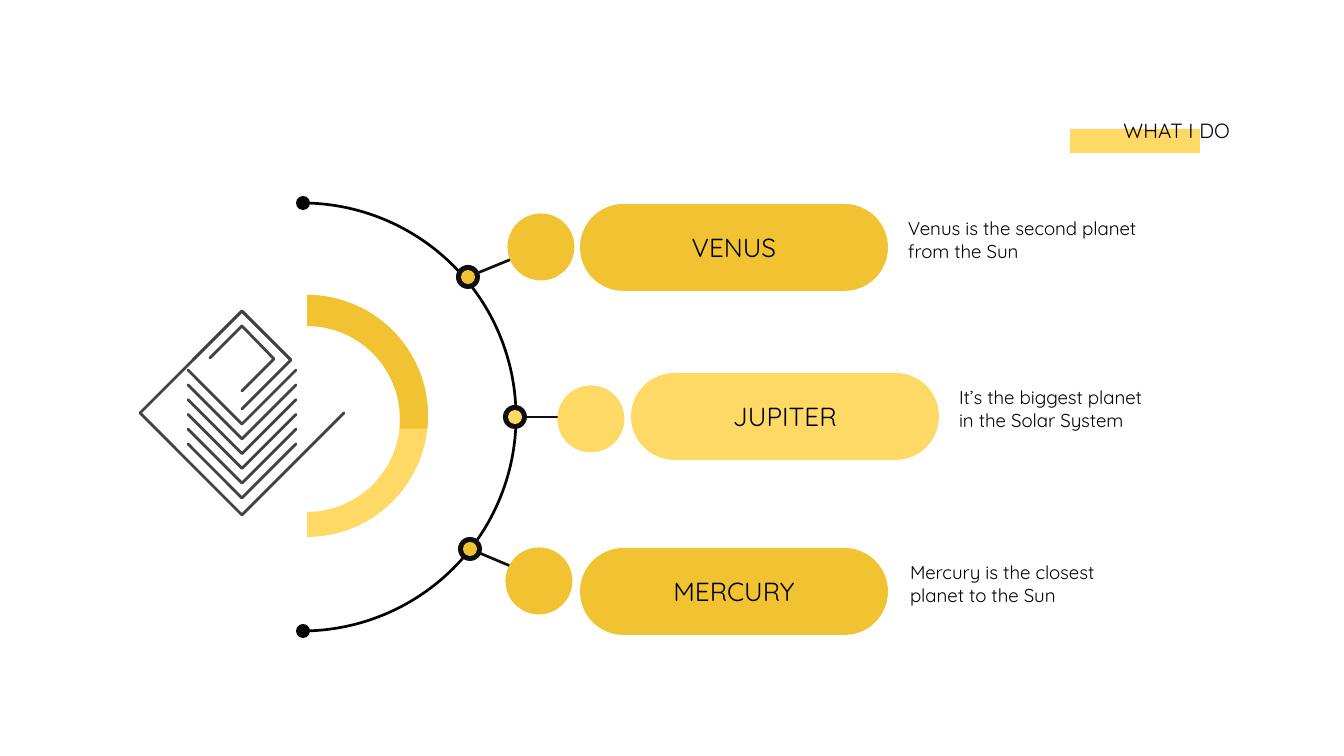
import math
from dataclasses import dataclass
from lxml import etree
from pptx import Presentation
from pptx.dml.color import RGBColor
from pptx.enum import shapes, text
from pptx.oxml.ns import qn
from pptx.util import Emu, Pt

PX = 914400 / 134.4
KIND = shapes.MSO_SHAPE


@dataclass(frozen=True)
class Theme:
    gold: str = "F1C232"
    sun: str = "FFD966"
    ink: str = "000000"
    coal: str = "0F0F0F"
    ash: str = "424242"
    face: str = "Quicksand"
    head: int = 11
    name: int = 14
    note: int = 10
    thin: float = 1.44
    pen: float = 1.5


T = Theme()


def px(n):
    return Emu(round(n * PX))


def rgb(hue):
    return RGBColor.from_string(hue)


def paint(shape, fill=None, line=None, width=T.thin):
    shape.shadow.inherit = False
    if fill:
        shape.fill.solid()
        shape.fill.fore_color.rgb = rgb(fill)
    else:
        shape.fill.background()
    if line:
        shape.line.color.rgb = rgb(line)
        shape.line.width = Pt(width)
    else:
        shape.line.fill.background()
    return shape


def block(slide, kind, box, fill=None, line=None):
    shape = slide.shapes.add_shape(kind, *map(px, box))
    return paint(shape, fill, line)


def disc(slide, x, y, size, fill):
    box = (x - size / 2, y - size / 2, size, size)
    return block(slide, KIND.OVAL, box, fill)


def trace(slide, points, closed=False):
    spots = [(px(x), px(y)) for x, y in points]
    pen = slide.shapes.build_freeform(*spots[0], scale=1.0)
    pen.add_line_segments(spots[1:], close=closed)
    return pen.convert_to_shape()


def write(shape, lines, size, align, anchor):
    frame = shape.text_frame
    frame.word_wrap = True
    frame.auto_size = text.MSO_AUTO_SIZE.NONE
    frame.vertical_anchor = anchor
    frame.margin_left = frame.margin_right = px(13)
    frame.margin_top = frame.margin_bottom = px(13)
    for i, words in enumerate(lines):
        para = frame.add_paragraph() if i else frame.paragraphs[0]
        para.alignment = align
        run = para.add_run()
        run.text = words
        run.font.name = T.face
        run.font.size = Pt(size)
        run.font.color.rgb = rgb(T.ink)


def header(slide, box):
    x, y, w, h = box
    block(slide, KIND.RECTANGLE, (x + 965, y + 24, 130, 24), T.sun)
    title = slide.shapes.title
    title.left, title.top, title.width, title.height = map(px, box)
    write(title, ["WHAT I DO"], T.head, text.PP_ALIGN.RIGHT,
          text.MSO_ANCHOR.BOTTOM)
    slide.shapes._spTree.append(title._element)


def orbit(slide, box):
    x, y, w, h = box
    arc = block(slide, KIND.ARC, box, line=T.ink)
    arc.adjustments[0] = 270 * 0.6
    arc.adjustments[1] = 90 * 0.6
    for end in (y, y + h):
        disc(slide, x + w / 2 + 1, end, 14, T.ink)


def curve(x, y, r, angles):
    turns = [math.radians(a) for a in angles]
    return [(x + r * math.cos(a), y + r * math.sin(a)) for a in turns]


def ring(slide, box):
    x, y, w, h = box
    for end, hue in ((90, T.sun), (6, T.gold)):
        sweep = range(-90, end + 1, 2)
        outer = curve(x, y + h / 2, w, sweep)
        inner = curve(x, y + h / 2 + 3, w - 28, reversed(sweep))
        paint(trace(slide, outer + inner, True), hue)


def branch(slide, box, name, lines, hue, node, ball, tip, gap):
    x, y, w, h = box
    nx, ny = x + node[0], y + node[1]
    link = slide.shapes.add_connector(
        shapes.MSO_CONNECTOR.STRAIGHT,
        px(nx), px(ny), px(x + tip[0]), px(y + tip[1]))
    link.line.color.rgb = rgb(T.coal)
    link.line.width = Pt(T.thin)
    etree.SubElement(link._element.spPr, qn("a:effectLst"))
    disc(slide, nx, ny, 24, T.coal)
    disc(slide, nx, ny, 14, hue)
    disc(slide, x + ball[0], y + ball[1], 67, hue)
    pill = block(slide, KIND.ROUNDED_RECTANGLE, box, hue)
    pill.adjustments[0] = 0.5
    write(pill, [name], T.name, text.PP_ALIGN.CENTER, text.MSO_ANCHOR.MIDDLE)
    note = slide.shapes.add_textbox(*map(px, (x + w + gap, y, 255, h)))
    write(note, lines, T.note, text.PP_ALIGN.LEFT, text.MSO_ANCHOR.TOP)


def emblem(slide, box):
    x, y, w, h = box
    mid = w / 2
    paths = [[(mid + 54, top), (mid, top + 54), (mid - 54, top)]
             for top in (59 + 14.8 * i for i in range(6))]
    paths += [
        [(mid - 49, 49), (mid, 0), (mid + 49, 49), (mid, 98)],
        [(w, mid), (mid, h), (0, mid), (mid, 0), (mid + 49, 49)],
        [(mid, 80), (mid + 32, 48), (mid, 15), (mid - 32, 47)],
    ]
    for path in paths:
        shape = trace(slide, [(x + a, y + b) for a, b in path])
        paint(shape, line=T.ash, width=T.pen)
        line = shape._element.spPr.find(qn("a:ln"))
        line.set("cap", "rnd")
        etree.SubElement(line, qn("a:round"))


def main():
    deck = Presentation()
    deck.slide_width, deck.slide_height = px(1344), px(756)
    slide = deck.slides.add_slide(deck.slide_layouts[0])
    sub = slide.placeholders[1]._element
    sub.getparent().remove(sub)
    header(slide, (105, 105, 1138, 51))
    orbit(slide, (88, 203, 428, 428))
    ring(slide, (307, 295, 121, 242))
    branch(slide, (580, 204, 308, 87), "VENUS",
           ["Venus is the second planet from the Sun"],
           T.gold, (-112, 73), (-39, 43), (-39, 43), 7)
    branch(slide, (631, 373, 308, 87), "JUPITER",
           ["It’s the biggest planet", "in the Solar System"],
           T.sun, (-116, 44), (-40, 46), (-40, 44), 7)
    branch(slide, (580, 548, 308, 87), "MERCURY",
           ["Mercury is the closest planet to the Sun"],
           T.gold, (-110, 1), (-41, 33), (-39, 31), 9)
    emblem(slide, (140, 311, 204, 204))
    deck.save("out.pptx")


if __name__ == "__main__":
    main()
